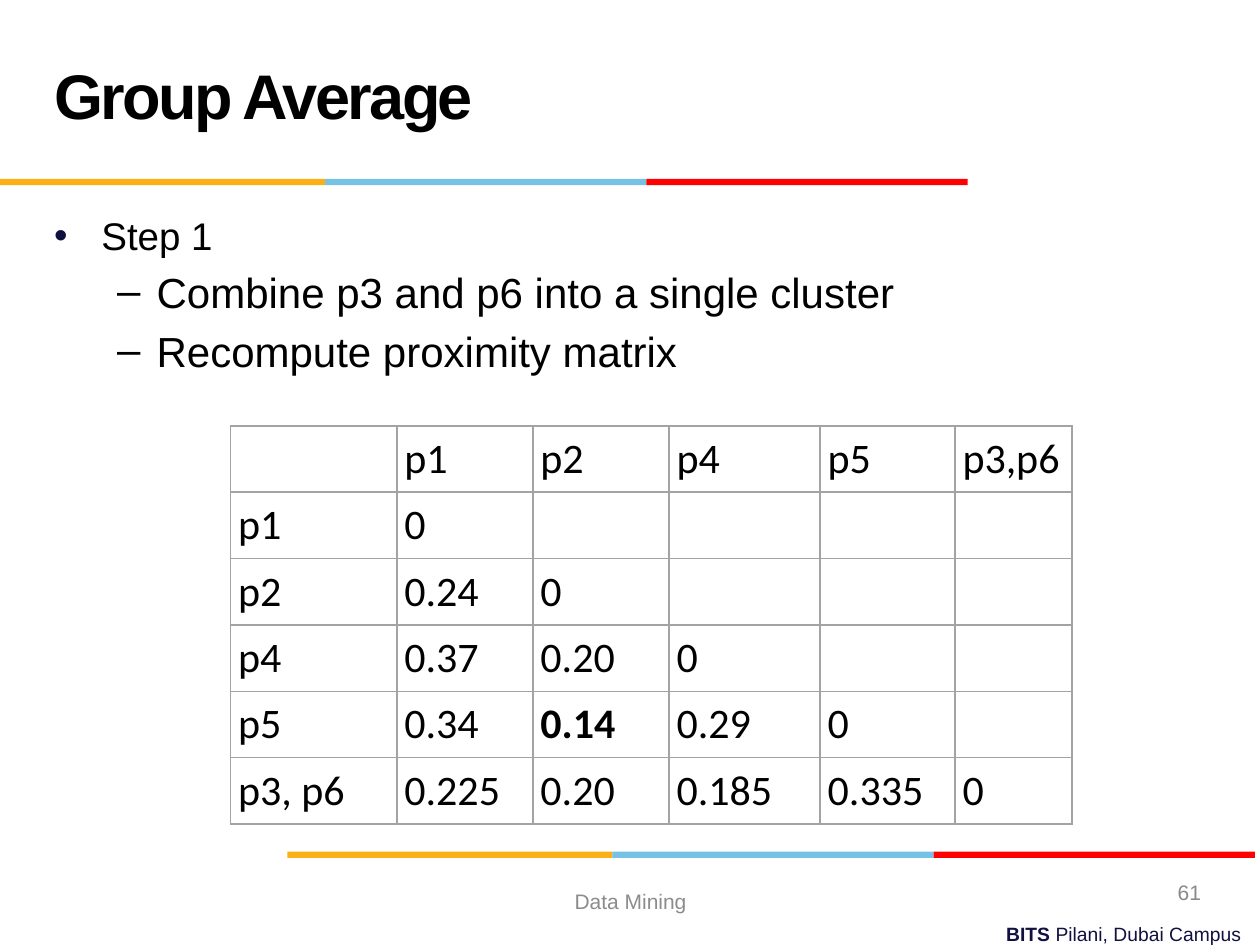
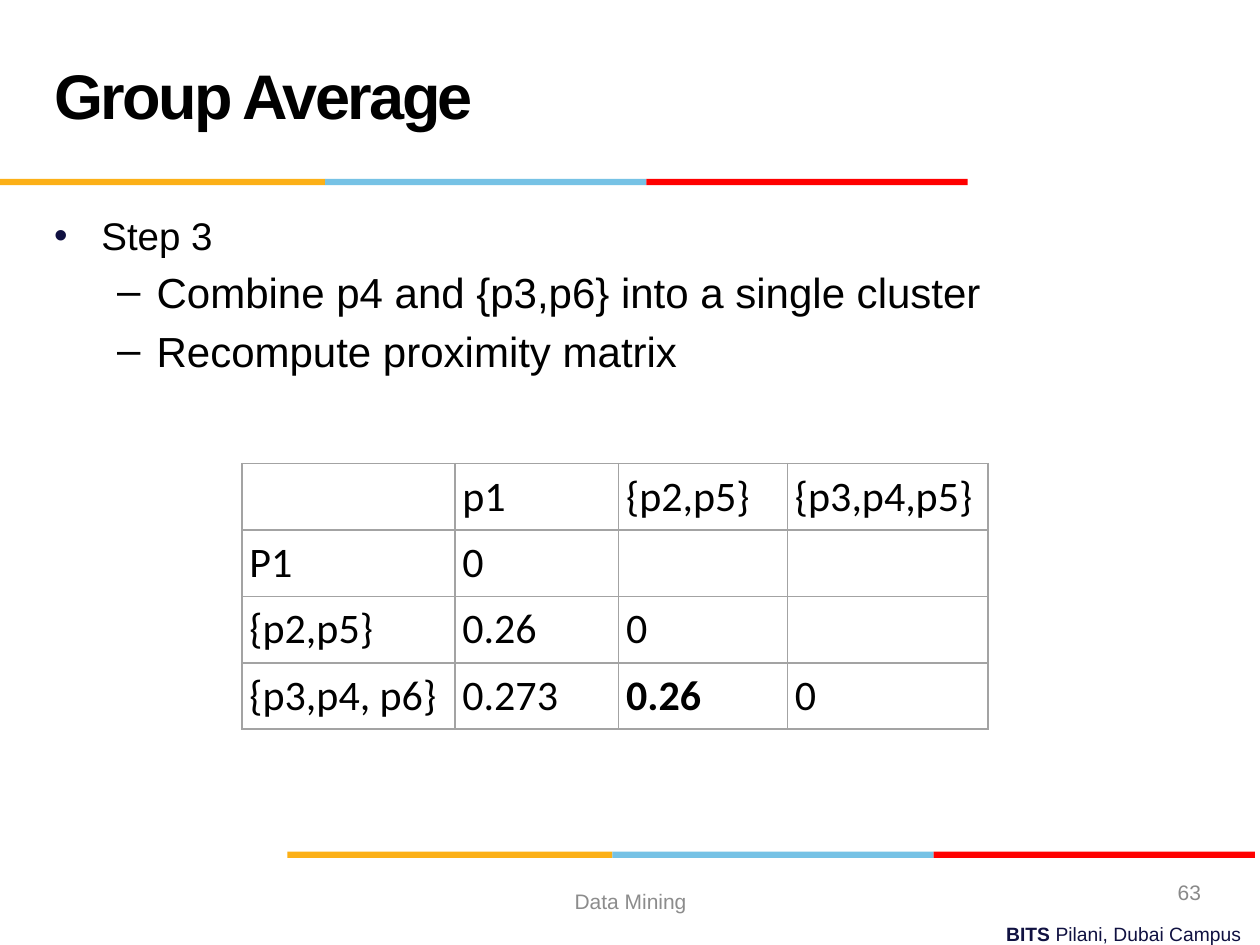
from lxml.etree import SubElement
from pptx import Presentation
from pptx.dml.color import RGBColor
from pptx.enum.shapes import MSO_SHAPE
from pptx.enum.text import MSO_ANCHOR, MSO_AUTO_SIZE, PP_ALIGN
from pptx.oxml.ns import qn
from pptx.util import Inches, Pt

COLORS = {
    "amber": "FCB017",
    "sky": "76C2E5",
    "red": "FF0000",
    "navy": "101141",
    "text": "000000",
    "footer": "8C8C8C",
    "number": "898989",
    "border": "A3A3A3",
}
BAND_SEGMENTS = [("amber", 2.58), ("sky", 2.55), ("red", 2.55)]
BAND_STARTS = [(0, 1.42), (2.28, 6.76)]
BAND_HEIGHT = 0.05
ROW_HEIGHT = 0.51
CELL_MARGIN = 0.06

TITLE = "Group Average"
FOOTER = "Data Mining"
CAMPUS = [("BITS ", True), ("Pilani, Dubai Campus", False)]

SLIDES = [
    {
        "number": "61",
        "step": "Step 1",
        "actions": ["Combine p3 and p6 into a single cluster", "Recompute proximity matrix"],
        "table_at": (1.83, 3.38),
        "columns": [1.32, 1.08, 1.08, 1.2, 1.07, 0.93],
        "matrix": [
            ["", "p1", "p2", "p4", "p5", "p3,p6"],
            ["p1", "0"],
            ["p2", "0.24", "0"],
            ["p4", "0.37", "0.20", "0"],
            ["p5", "0.34", "0.14", "0.29", "0"],
            ["p3, p6", "0.225", "0.20", "0.185", "0.335", "0"],
        ],
        "minimum": (4, 2),
    },
    {
        "number": "63",
        "step": "Step 3",
        "actions": ["Combine p4 and {p3,p6} into a single cluster", "Recompute proximity matrix"],
        "table_at": (1.92, 3.68),
        "columns": [1.69, 1.3, 1.34, 1.59],
        "matrix": [
            ["", "p1", "{p2,p5}", "{p3,p4,p5}"],
            ["P1", "0"],
            ["{p2,p5}", "0.26", "0"],
            ["{p3,p4, p6}", "0.273", "0.26", "0"],
        ],
        "minimum": (3, 2),
    },
]


def style(paragraph, size, color="text", name="Arial", bold=False):
    font = paragraph.font
    font.name, font.size, font.bold = name, Pt(size), bold
    font.color.rgb = RGBColor.from_string(COLORS[color])


def place(shape, left, top, width, height):
    shape.left, shape.top = Inches(left), Inches(top)
    shape.width, shape.height = Inches(width), Inches(height)


def add_color(parent, tag, color):
    holder = SubElement(parent, qn(tag))
    SubElement(holder, qn("a:srgbClr")).set("val", COLORS[color])


def add_bands(slide):
    for left, top in BAND_STARTS:
        for color, width in BAND_SEGMENTS:
            band = slide.shapes.add_shape(
                MSO_SHAPE.RECTANGLE, Inches(left), Inches(top), Inches(width), Inches(BAND_HEIGHT))
            band.shadow.inherit = False
            band.fill.solid()
            band.fill.fore_color.rgb = RGBColor.from_string(COLORS[color])
            band.line.fill.background()
            left += width


def add_label(slide, box, runs, size, color, alignment, anchor=MSO_ANCHOR.MIDDLE):
    frame = slide.shapes.add_textbox(*map(Inches, box)).text_frame
    frame.word_wrap = True
    frame.vertical_anchor = anchor
    paragraph = frame.paragraphs[0]
    paragraph.alignment = alignment
    style(paragraph, size, color)
    for text, bold in runs:
        run = paragraph.add_run()
        run.text = text
        run.font.bold = bold


def fill_title(title):
    place(title, 0.33, 0.17, 6.92, 1.25)
    frame = title.text_frame
    frame.auto_size = MSO_AUTO_SIZE.NONE
    frame.vertical_anchor = MSO_ANCHOR.MIDDLE
    frame.text = TITLE
    paragraph = frame.paragraphs[0]
    paragraph.alignment = PP_ALIGN.LEFT
    paragraph.line_spacing = Pt(36)
    style(paragraph, 36, bold=True)
    paragraph.runs[0]._r.get_or_add_rPr().set("spc", "-150")


def fill_body(body, step, actions):
    place(body, 0.33, 1.63, 9, 4.95)
    frame = body.text_frame
    frame.auto_size = MSO_AUTO_SIZE.NONE
    frame.text = "\n".join([step, *actions])
    heading, *details = frame.paragraphs
    add_color(heading._p.get_or_add_pPr(), "a:buClr", "navy")
    style(heading, 22)
    for paragraph in details:
        paragraph.level = 1
        style(paragraph, 24)


def add_borders(cell):
    properties = cell._tc.get_or_add_tcPr()
    for side in ("a:lnL", "a:lnR", "a:lnT", "a:lnB"):
        line = SubElement(properties, qn(side))
        line.set("w", str(Pt(1)))
        add_color(line, "a:solidFill", "border")


def add_matrix(slide, content):
    matrix, columns = content["matrix"], content["columns"]
    left, top = content["table_at"]
    table = slide.shapes.add_table(
        len(matrix), len(columns), Inches(left), Inches(top),
        Inches(sum(columns)), Inches(ROW_HEIGHT * len(matrix))).table
    table.first_row = table.horz_banding = False
    for column, width in zip(table.columns, columns):
        column.width = Inches(width)
    for row_index, values in enumerate(matrix):
        table.rows[row_index].height = Inches(ROW_HEIGHT)
        for column_index in range(len(columns)):
            cell = table.cell(row_index, column_index)
            cell.margin_left = cell.margin_right = Inches(CELL_MARGIN)
            cell.margin_top = cell.margin_bottom = Inches(CELL_MARGIN)
            add_borders(cell)
            cell.fill.background()
            if column_index < len(values) and values[column_index]:
                cell.text = values[column_index]
                is_minimum = (row_index, column_index) == content["minimum"]
                style(cell.text_frame.paragraphs[0], 24, name="Calibri", bold=is_minimum)


def build_slide(presentation, content):
    slide = presentation.slides.add_slide(presentation.slide_layouts[1])
    fill_title(slide.shapes.title)
    fill_body(slide.placeholders[1], content["step"], content["actions"])
    add_bands(slide)
    add_matrix(slide, content)
    add_label(slide, (3.53, 7.27, 6.42, 0.29), CAMPUS, 11, "navy", PP_ALIGN.RIGHT, MSO_ANCHOR.TOP)
    add_label(slide, (3.42, 6.95, 3.17, 0.4), [(FOOTER, False)], 12, "footer", PP_ALIGN.CENTER)
    add_label(slide, (7.3, 6.88, 2.33, 0.4), [(content["number"], False)], 12, "number", PP_ALIGN.RIGHT)


def main():
    presentation = Presentation()
    presentation.slide_width, presentation.slide_height = Inches(10), Inches(7.5)
    for content in SLIDES:
        build_slide(presentation, content)
    presentation.save("out.pptx")


if __name__ == "__main__":
    main()
